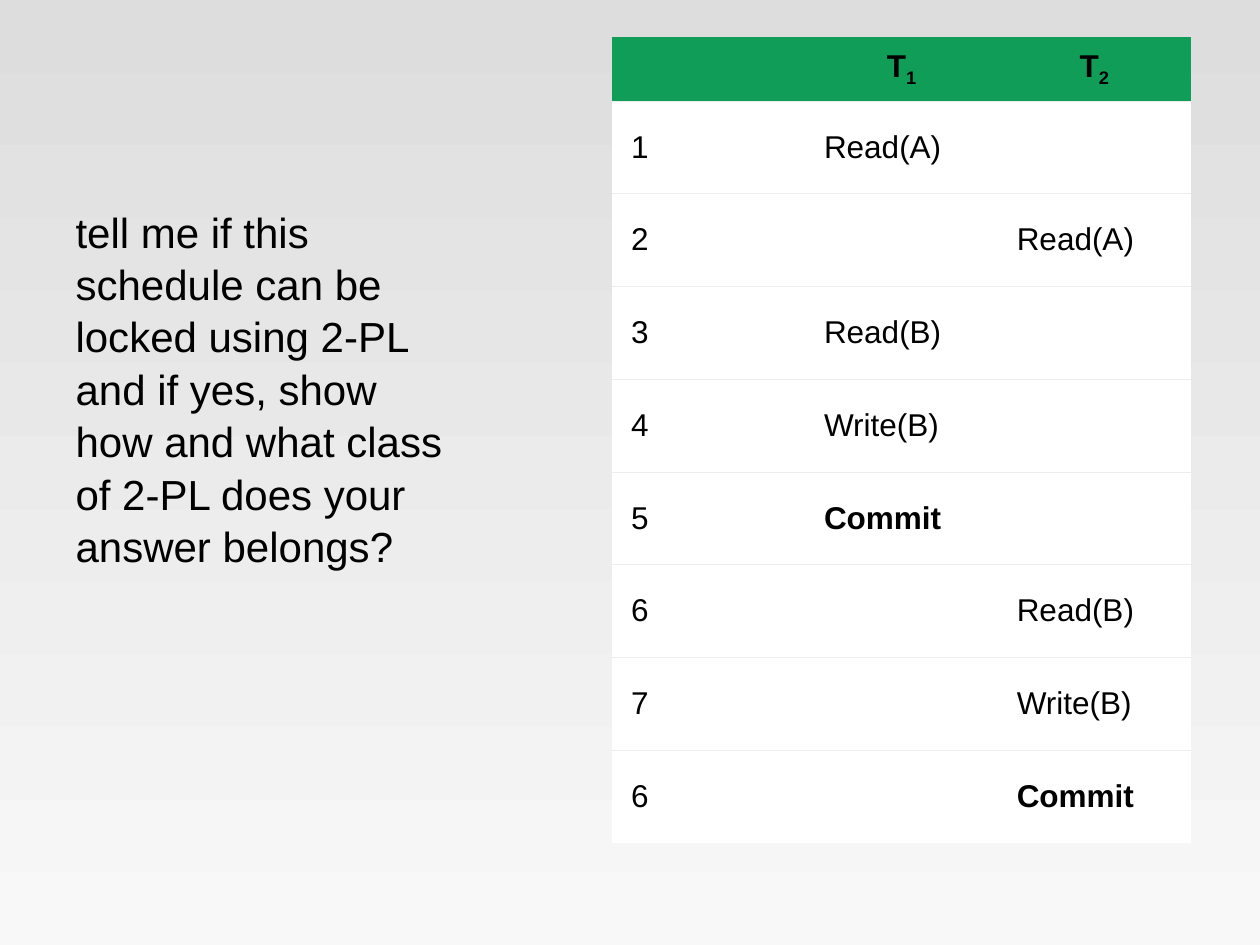
import pptx
import pptx.dml.color
import pptx.enum.text
import pptx.oxml
import pptx.oxml.ns
import pptx.util
from pptx.util import Inches, Pt

RGBColor = pptx.dml.color.RGBColor
BLACK = RGBColor(0x00, 0x00, 0x00)
WHITE = RGBColor(0xFF, 0xFF, 0xFF)
GREEN = RGBColor(0x0F, 0x9D, 0x58)
RULE_GREY = RGBColor(0xED, 0xED, 0xED)
BACKGROUND_TOP = RGBColor(0xDD, 0xDD, 0xDD)
BACKGROUND_BOTTOM = RGBColor(0xF8, 0xF8, 0xF8)

FONT = "Arial"
PLAIN_TABLE_STYLE = "{2D5ABB26-0587-4C30-8999-92F81FD0307C}"
HEADER_HEIGHT = 0.51
TABLE_LEFT, TABLE_TOP, TABLE_WIDTH, TABLE_HEIGHT = 4.86, 0.29, 4.59, 6.4

QUESTION = (
    "tell me if this schedule can be locked using 2-PL and if yes, "
    "show how and what class of 2-PL does your answer belongs?"
)
TRANSACTIONS = ["", "1", "2"]
SCHEDULE = [
    ("1", "Read(A)", ""),
    ("2", "", "Read(A)"),
    ("3", "Read(B)", ""),
    ("4", "Write(B)", ""),
    ("5", "Commit", ""),
    ("6", "", "Read(B)"),
    ("7", "", "Write(B)"),
    ("6", "", "Commit"),
]


def paint_background(slide):
    fill = slide.background.fill
    fill.gradient()
    fill.gradient_angle = 270
    for stop, color in zip(fill.gradient_stops, (BACKGROUND_TOP, BACKGROUND_BOTTOM)):
        stop.color.rgb = color


def format_run(run, size, bold=False):
    run.font.name = FONT
    run.font.size = Pt(size)
    run.font.bold = bold
    run.font.color.rgb = BLACK


def add_question(slide):
    body = slide.placeholders[1]
    body.left, body.top = Inches(0.5), Inches(1.57)
    body.width, body.height = Inches(3.29), Inches(5.13)
    body.text_frame.text = QUESTION
    paragraph = body.text_frame.paragraphs[0]
    paragraph.space_before = Pt(10.5)
    paragraph.line_spacing = 1.04
    properties = paragraph._p.get_or_add_pPr()
    properties.set("marL", "0")
    properties.set("indent", "0")
    properties.append(pptx.oxml.parse_xml(f"<a:buNone {pptx.oxml.ns.nsdecls('a')}/>"))
    format_run(paragraph.runs[0], 24)


def add_rules(cell, sides):
    """Draw thin horizontal borders on the given sides, 'T' before 'B'."""
    properties = cell._tc.get_or_add_tcPr()
    for position, side in enumerate(sides):
        border = pptx.oxml.parse_xml(
            f"<a:ln{side} {pptx.oxml.ns.nsdecls('a')} w='{Pt(0.34)}'>"
            f"<a:solidFill><a:srgbClr val='{RULE_GREY}'/></a:solidFill></a:ln{side}>"
        )
        properties.insert(position, border)


def format_cell(cell, color, side_margin, sides):
    cell.fill.solid()
    cell.fill.fore_color.rgb = color
    cell.vertical_anchor = pptx.enum.text.MSO_ANCHOR.MIDDLE
    cell.margin_left = cell.margin_right = Inches(side_margin)
    cell.margin_top = cell.margin_bottom = Inches(0.05)
    add_rules(cell, sides)


def fill_header_cell(cell, number):
    format_cell(cell, GREEN, 0.08, "B")
    if not number:
        return
    paragraph = cell.text_frame.paragraphs[0]
    paragraph.alignment = pptx.enum.text.PP_ALIGN.CENTER
    for text in ("T", number):
        run = paragraph.add_run()
        run.text = text
        format_run(run, 18, bold=True)
    run.font._element.set("baseline", "-25000")


def fill_schedule_cell(cell, text, is_last_row):
    format_cell(cell, WHITE, 0.15, "T" if is_last_row else "TB")
    if text:
        cell.text_frame.text = text
        format_run(cell.text_frame.paragraphs[0].runs[0], 18, bold=text == "Commit")


def add_schedule(slide):
    frame = slide.shapes.add_table(
        len(SCHEDULE) + 1, len(TRANSACTIONS),
        Inches(TABLE_LEFT), Inches(TABLE_TOP), Inches(TABLE_WIDTH), Inches(TABLE_HEIGHT),
    )
    table = frame.table
    table.horz_banding = False
    table._tbl.tblPr.find(pptx.oxml.ns.qn("a:tableStyleId")).text = PLAIN_TABLE_STYLE

    for row in table.rows:
        row.height = Inches((TABLE_HEIGHT - HEADER_HEIGHT) / len(SCHEDULE))
    table.rows[0].height = Inches(HEADER_HEIGHT)

    for column, number in enumerate(TRANSACTIONS):
        fill_header_cell(table.cell(0, column), number)
    for row, step in enumerate(SCHEDULE, start=1):
        for column, text in enumerate(step):
            fill_schedule_cell(table.cell(row, column), text, row == len(SCHEDULE))


def main():
    presentation = pptx.Presentation()
    presentation.slide_width = Inches(10)
    presentation.slide_height = Inches(7.5)
    slide = presentation.slides.add_slide(presentation.slide_layouts[1])
    title = slide.shapes.title._element
    title.getparent().remove(title)
    paint_background(slide)
    add_schedule(slide)
    add_question(slide)
    presentation.save("out.pptx")


if __name__ == "__main__":
    main()
